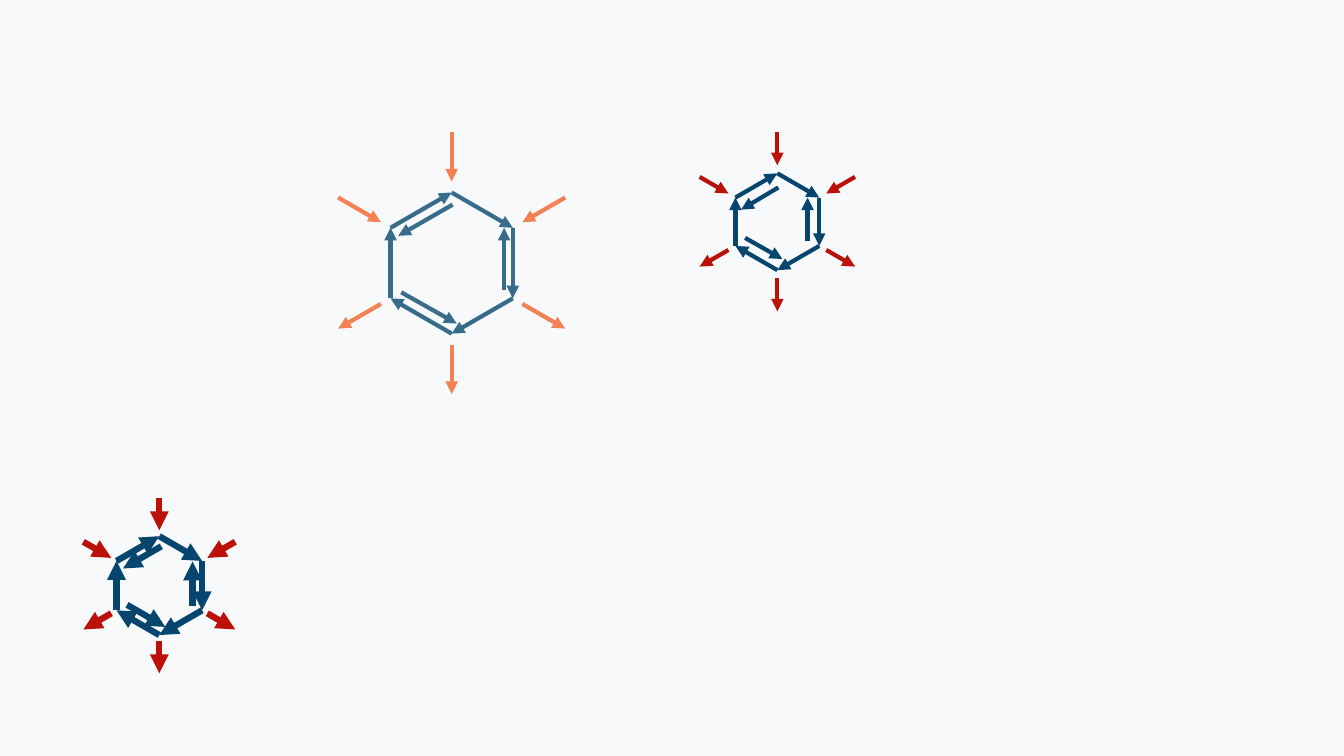
from math import cos, radians, sin

from pptx import Presentation
from pptx.dml.color import RGBColor
from pptx.enum.shapes import MSO_CONNECTOR
from pptx.oxml.ns import qn
from pptx.util import Inches, Pt
from lxml.etree import SubElement

BACKGROUND = RGBColor(0xF7, 0xF9, 0xFB)
STEEL = RGBColor(0x37, 0x6C, 0x8A)
ORANGE = RGBColor(0xF4, 0x81, 0x53)
NAVY = RGBColor(0x06, 0x46, 0x6E)
RED = RGBColor(0xBB, 0x11, 0x09)

RINGS = [
    {
        "center": (4.48, 2.61), "radius": 0.7, "spoke": (0.81, 1.3),
        "ring_color": STEEL, "spoke_color": ORANGE, "weight": 3,
        "inner": [
            ((0.52, 0.27), (0.52, -0.35)),
            ((-0.5, 0.29), (0.05, 0.6)),
            ((0.01, -0.58), (-0.53, -0.27)),
        ],
    },
    {
        "center": (1.58, 5.81), "radius": 0.49, "spoke": (0.55, 0.87),
        "ring_color": NAVY, "spoke_color": RED, "weight": 4.5,
        "inner": [
            ((0.33, 0.2), (0.33, -0.24)),
            ((-0.32, 0.19), (0.06, 0.41)),
            ((0.02, -0.39), (-0.36, -0.17)),
        ],
    },
    {
        "center": (7.71, 2.2), "radius": 0.48, "spoke": (0.56, 0.89),
        "ring_color": NAVY, "spoke_color": RED, "weight": 3,
        "inner": [
            ((0.3, 0.19), (0.3, -0.24)),
            ((-0.32, 0.16), (0.05, 0.37)),
            ((0.01, -0.34), (-0.36, -0.12)),
        ],
    },
]


def hexagon(radius):
    angles = [radians(60 * corner - 90) for corner in range(6)]
    return [(radius * cos(angle), radius * sin(angle)) for angle in angles]


def add_arrows(slide, center, arrows, color, weight):
    group = slide.shapes.add_group_shape()
    for ends in arrows:
        points = [Inches(middle + offset)
                  for end in ends for middle, offset in zip(center, end)]
        arrow = group.shapes.add_connector(MSO_CONNECTOR.STRAIGHT, *points)
        arrow.line.color.rgb = color
        arrow.line.width = Pt(weight)
        properties = arrow.element.spPr
        SubElement(properties.find(qn("a:ln")), qn("a:tailEnd"), type="triangle")
        SubElement(properties, qn("a:effectLst"))


def add_ring(slide, ring):
    corners = hexagon(ring["radius"])
    sides = list(zip(corners, corners[1:] + corners[:1]))
    near, far = (hexagon(reach) for reach in ring["spoke"])
    spokes = [(outside, inside) if outside[1] < 0 else (inside, outside)
              for inside, outside in zip(near, far)]
    add_arrows(slide, ring["center"], sides + ring["inner"],
               ring["ring_color"], ring["weight"])
    add_arrows(slide, ring["center"], spokes,
               ring["spoke_color"], ring["weight"])


def main():
    deck = Presentation()
    deck.slide_width = Inches(13.33)
    deck.slide_height = Inches(7.5)
    slide = deck.slides.add_slide(deck.slide_layouts[6])
    slide.background.fill.solid()
    slide.background.fill.fore_color.rgb = BACKGROUND
    for ring in RINGS:
        add_ring(slide, ring)
    deck.save("out.pptx")


if __name__ == "__main__":
    main()
